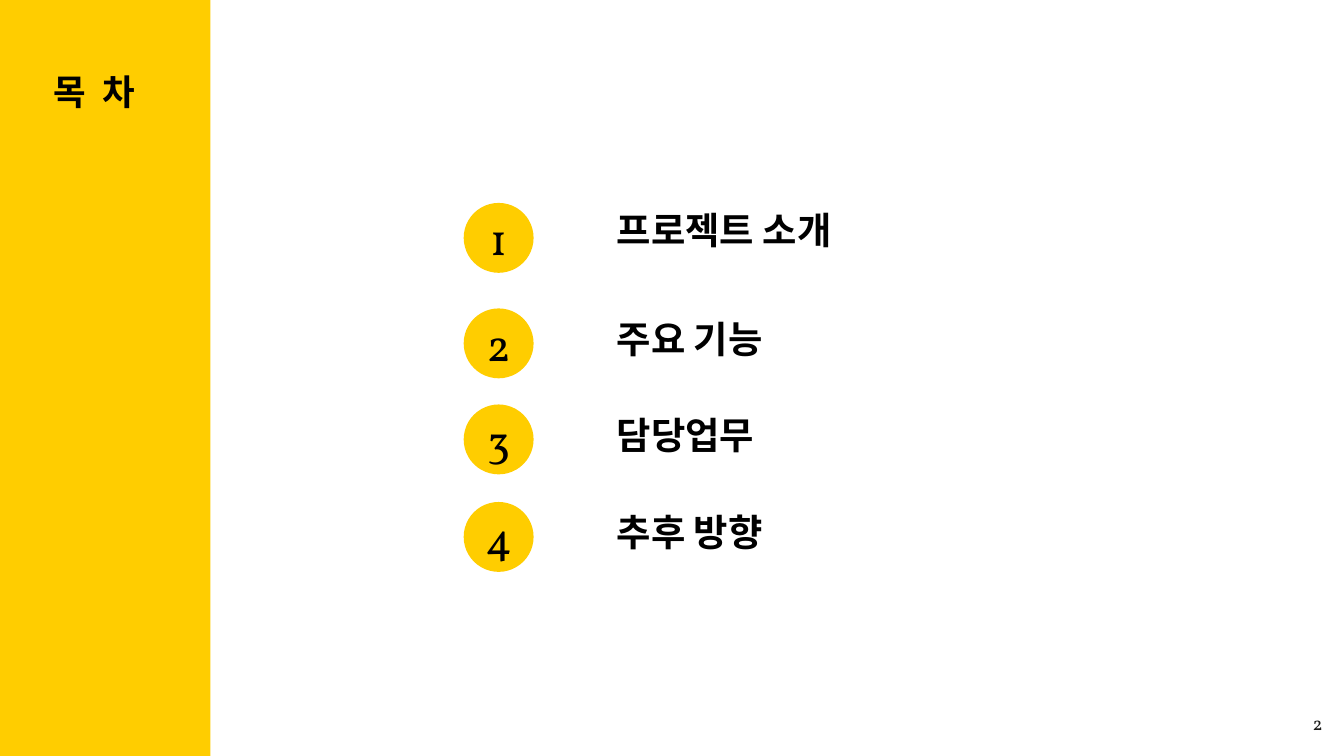
from lxml import etree
from pptx import Presentation
from pptx import util as u
from pptx.dml.color import RGBColor
from pptx.enum import shapes, text
from pptx.oxml.ns import qn

PX = 4572
HUE = {"gold": "FFCD00", "black": "000000", "ink": "1D1D1B"}
SANS, SERIF = "Noto Sans CJK KR", "Vollkorn"
ALIGN, ANCHOR = text.PP_ALIGN, text.MSO_ANCHOR


def paint(kind, x, y, w, h):
    shape = slide.shapes.add_shape(kind, x * PX, y * PX, w * PX, h * PX)
    shape.shadow.inherit = False
    shape.fill.solid()
    shape.fill.fore_color.rgb = RGBColor.from_string(HUE["gold"])
    shape.line.fill.background()
    return shape


def write(shape, words, size, font, hue, align, anchor, inset=20, bold=False):
    frame = shape.text_frame
    frame.auto_size = text.MSO_AUTO_SIZE.NONE
    frame.word_wrap = True
    frame.vertical_anchor = anchor
    frame.margin_left = frame.margin_right = inset * PX
    frame.margin_top = frame.margin_bottom = inset * PX
    para = frame.paragraphs[0]
    para.alignment = align
    run = para.add_run()
    run.text = words
    run.font.size = u.Pt(size)
    run.font.bold = bold
    run.font.color.rgb = RGBColor.from_string(HUE[hue])
    run.font.name = font
    east = etree.SubElement(run.font._element, qn("a:ea"))
    east.set("typeface", font)


deck = Presentation()
deck.slide_width, deck.slide_height = 2000 * PX, 1125 * PX
slide = deck.slides.add_slide(deck.slide_layouts[5])

paint(shapes.MSO_SHAPE.RECTANGLE, 0, 0, 313, 1125)

title = slide.shapes.title
title.left, title.top, title.width, title.height = 51 * PX, 84 * PX, 178 * PX, 104 * PX
write(title, "목  차", 19, SANS, "black", ALIGN.CENTER, ANCHOR.TOP, bold=True)
slide.shapes._spTree.append(title._element)

items = [
    ("프로젝트 소개", 302, 313, 488, 82),
    ("주요 기능", 459, 465, 590, 92),
    ("담당업무", 602, 608, 324, 92),
    ("추후 방향", 747, 753, 324, 92),
]
for num, (words, top, y, w, h) in enumerate(items, 1):
    dot = paint(shapes.MSO_SHAPE.OVAL, 690, top, 104, 104)
    write(dot, str(num), 24, SERIF, "black", ALIGN.CENTER, ANCHOR.MIDDLE, inset=0)
    label = slide.shapes.add_textbox(898 * PX, y * PX, w * PX, h * PX)
    write(label, words, 20, SANS, "black", ALIGN.LEFT, ANCHOR.BOTTOM, bold=True)

page = slide.shapes.add_textbox(1868 * PX, 1039 * PX, 120 * PX, 86 * PX)
write(page, "2", 10, SERIF, "ink", ALIGN.RIGHT, ANCHOR.TOP)

deck.save("out.pptx")
